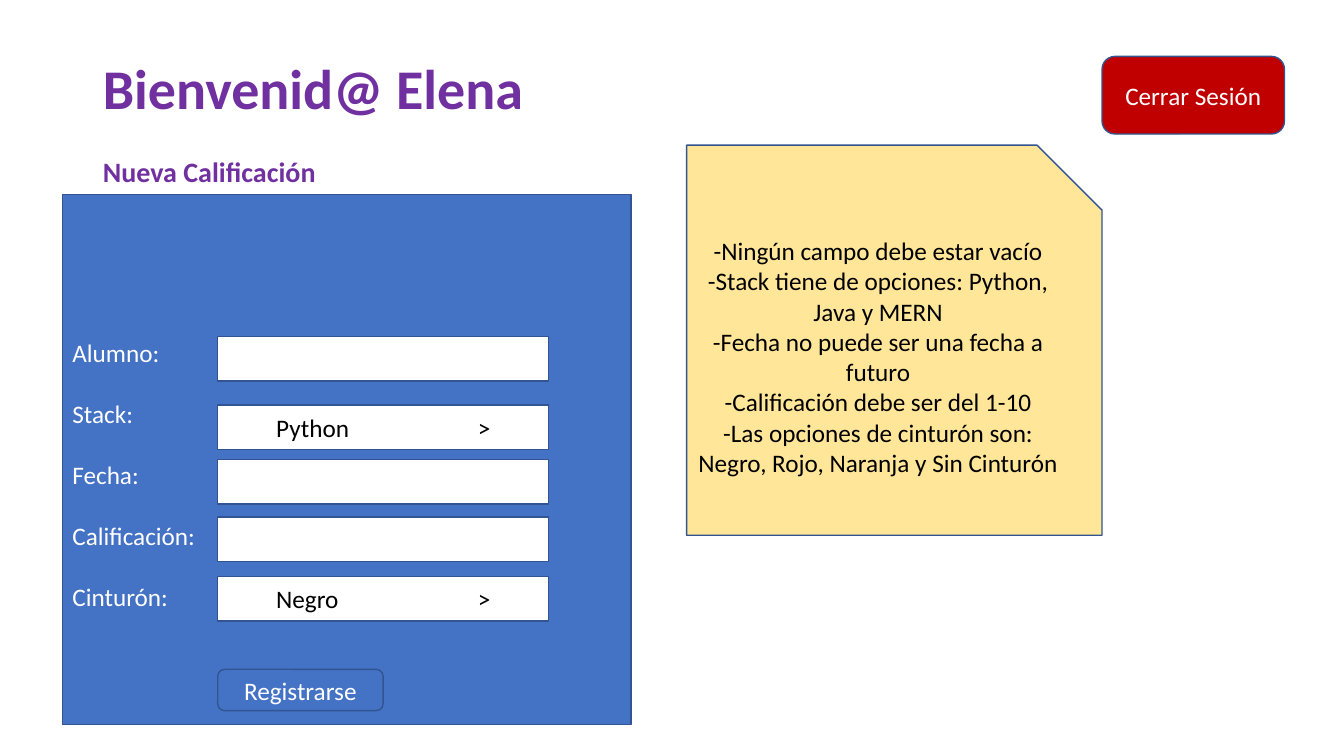
from pptx import Presentation
from pptx.dml.color import RGBColor
from pptx.enum import shapes, text
from pptx.oxml import parse_xml
from pptx.oxml.ns import nsdecls
from pptx.util import Inches, Pt

KIND = shapes.MSO_SHAPE
ALIGN = text.PP_ALIGN
ANCHOR = text.MSO_ANCHOR
WHITE, BLACK, BLUE, PURPLE = "FFFFFF", "000000", "4472C4", "7030A0"


def write(frame, lines, sizes=(18,), color=WHITE, bold=False,
          align=ALIGN.CENTER, anchor=ANCHOR.MIDDLE, gap=0):
    """Fill a frame, one paragraph a line; gap is the space after each."""
    frame.word_wrap = True
    frame.vertical_anchor = anchor
    for i, line in enumerate(lines):
        par = frame.paragraphs[0] if i == 0 else frame.add_paragraph()
        par.alignment = align
        par.space_after = Pt(gap)
        run = par.add_run()
        run.text = line
        font = run.font
        font.name, font.bold = "Calibri", bold
        font.size = Pt(sizes[min(i, len(sizes) - 1)])
        font.color.rgb = RGBColor.from_string(color)


def box(kind, left, top, width, height, fill):
    shape = slide.shapes.add_shape(
        kind, Inches(left), Inches(top), Inches(width), Inches(height))
    shape.shadow.inherit = False
    shape.fill.solid()
    shape.fill.fore_color.rgb = RGBColor.from_string(fill)
    shape.line.color.rgb = RGBColor.from_string("325491")
    shape.line.width = Pt(1)
    return shape


deck = Presentation()
deck.slide_width, deck.slide_height = Inches(13.33), Inches(7.5)
slide = deck.slides.add_slide(deck.slide_layouts[5])

# Heading
title = slide.shapes.title
title.left, title.top = Inches(0.92), Inches(0.48)
title.width, title.height = Inches(4.75), Inches(1.45)
title.text_frame.auto_size = text.MSO_AUTO_SIZE.NONE
write(title.text_frame, ["Bienvenid@ Elena", "Nueva Calificación"],
      sizes=(40, 20), color=PURPLE, bold=True, align=ALIGN.LEFT,
      anchor=ANCHOR.TOP, gap=24)

logout = box(KIND.ROUNDED_RECTANGLE, 10.93, 0.56, 1.81, 0.77, "C00000")
write(logout.text_frame, ["Cerrar Sesión"])

# Form: labels in the panel, a white field beside each
fields = [("Alumno:", 3.34, ""), ("Stack:", 4.02, "Python"),
          ("Fecha:", 4.56, ""), ("Calificación:", 5.13, ""),
          ("Cinturón:", 5.72, "Negro")]
panel = box(KIND.RECTANGLE, 0.62, 1.93, 5.64, 5.26, BLUE)
panel.text_frame.margin_top = Inches(1.42)
write(panel.text_frame, [label for label, top, value in fields],
      align=ALIGN.LEFT, anchor=ANCHOR.TOP, gap=22)

for label, top, value in fields:
    field = box(KIND.RECTANGLE, 2.16, top, 3.28, 0.44, WHITE)
    if value:
        frame = field.text_frame
        frame.margin_left = Inches(0.58)
        write(frame, [value + "\t>"], color=BLACK, align=ALIGN.LEFT)
        # Tab stop that lines up the drop-down marks
        frame.paragraphs[0]._p.get_or_add_pPr().append(parse_xml(
            f'<a:tabLst {nsdecls("a")}>'
            f'<a:tab pos="{Inches(2)}" algn="l"/></a:tabLst>'))

submit = box(KIND.ROUNDED_RECTANGLE, 2.16, 6.64, 1.64, 0.41, BLUE)
write(submit.text_frame, ["Registrarse"])

# Rules note
note = box(KIND.SNIP_1_RECTANGLE, 6.81, 1.44, 4.12, 3.87, "FFE699")
write(note.text_frame, [
    "-Ningún campo debe estar vacío",
    "-Stack tiene de opciones: Python, Java y MERN",
    "-Fecha no puede ser una fecha a futuro",
    "-Calificación debe ser del 1-10",
    "-Las opciones de cinturón son: Negro, Rojo, Naranja y Sin Cinturón",
], color=BLACK)

deck.save("out.pptx")
